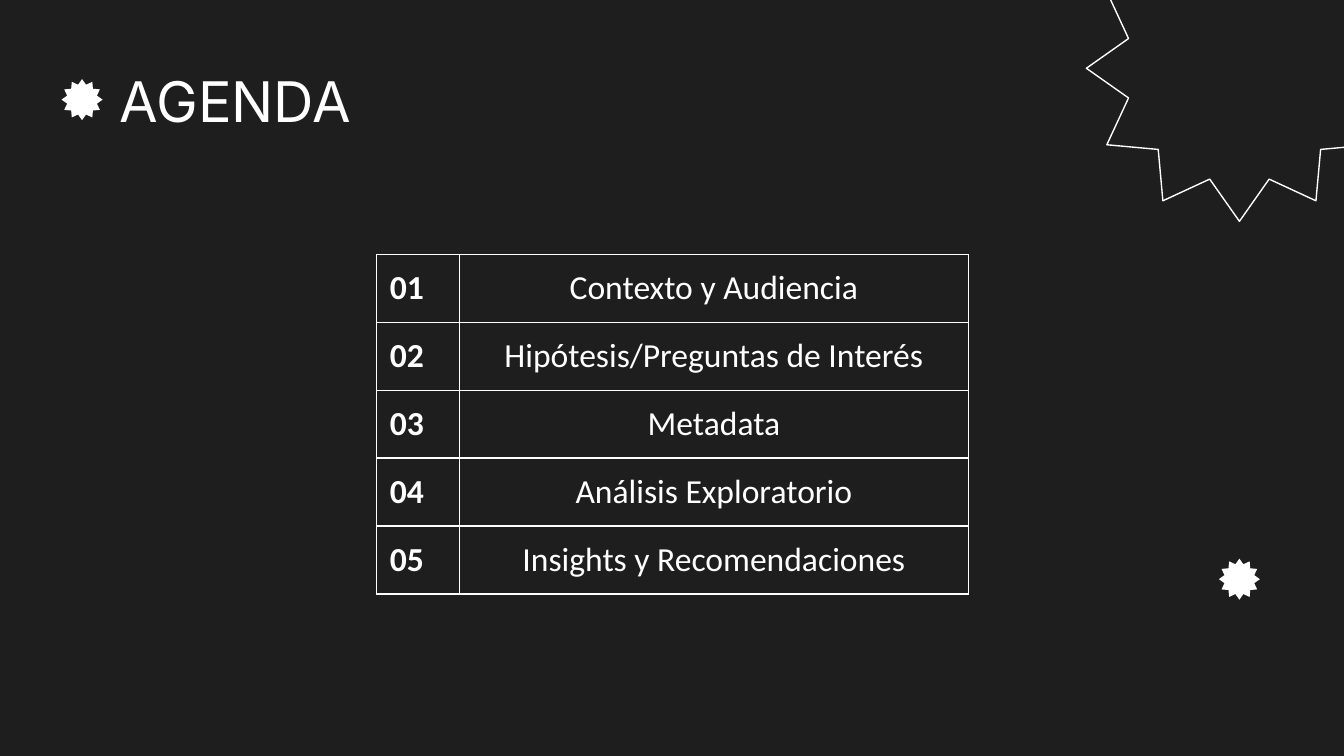
from dataclasses import dataclass

from lxml.etree import SubElement
from pptx import Presentation
from pptx.dml.color import RGBColor
from pptx.enum.shapes import MSO_SHAPE as SHAPE
from pptx.enum.text import MSO_ANCHOR as ANCHOR, PP_ALIGN as ALIGN
from pptx.oxml.ns import qn
from pptx.util import Pt


@dataclass(frozen=True)
class Theme:
    ink: str = "FFFFFF"
    paper: str = "1E1E1E"
    title_font: str = "Inter"
    body_font: str = "Calibri"
    title_size: float = 30
    body_size: float = 18
    line: float = 0.75
    inset: float = 7.2


THEME = Theme()
INK = RGBColor.from_string(THEME.ink)
TOPICS = [
    "Contexto y Audiencia",
    "Hipótesis/Preguntas de Interés",
    "Metadata",
    "Análisis Exploratorio",
    "Insights y Recomendaciones",
]


def set_insets(target):
    for side in ("left", "top", "right", "bottom"):
        setattr(target, f"margin_{side}", Pt(THEME.inset))


def style_text(p, font, size, bold=False, align=ALIGN.LEFT):
    p.alignment = align
    for r in p.runs:
        r.font.name = font
        r.font.size = Pt(size)
        r.font.bold = bold
        r.font.color.rgb = INK


def add_star(slide, left, top, size, filled=True):
    sp = slide.shapes.add_shape(SHAPE.STAR_12_POINT, Pt(left), Pt(top), Pt(size), Pt(size))
    sp.shadow.inherit = False
    if filled:
        sp.fill.solid()
        sp.fill.fore_color.rgb = INK
        sp.line.fill.background()
    else:
        sp.fill.background()
        sp.line.color.rgb = INK
        sp.line.width = Pt(THEME.line)


def add_title(slide, left, top, width, height, text):
    tf = slide.shapes.add_textbox(Pt(left), Pt(top), Pt(width), Pt(height)).text_frame
    tf.word_wrap = True
    tf.vertical_anchor = ANCHOR.TOP
    set_insets(tf)
    tf.text = text
    style_text(tf.paragraphs[0], THEME.title_font, THEME.title_size)


def add_borders(cell):
    tc_pr = cell._tc.get_or_add_tcPr()
    for side in "LRTB":
        ln = SubElement(tc_pr, qn(f"a:ln{side}"), w=str(Pt(THEME.line)))
        fill = SubElement(ln, qn("a:solidFill"))
        SubElement(fill, qn("a:srgbClr"), val=THEME.ink)


def add_agenda(slide, left, top, width, height, topics):
    number_width = 44.6
    frame = slide.shapes.add_table(len(topics), 2, Pt(left), Pt(top), Pt(width), Pt(height))
    table = frame.table
    table.first_row = table.horz_banding = False
    table.columns[0].width = Pt(number_width)
    table.columns[1].width = Pt(width - number_width)
    for i, topic in enumerate(topics):
        table.rows[i].height = Pt(height / len(topics))
        number, label = table.rows[i].cells
        number.text = f"{i + 1:02}"
        label.text = topic
        for cell, bold, align in ((number, True, ALIGN.LEFT), (label, False, ALIGN.CENTER)):
            set_insets(cell)
            add_borders(cell)
            cell.fill.background()
            style_text(cell.text_frame.paragraphs[0], THEME.body_font, THEME.body_size, bold, align)


def build_agenda_slide(prs):
    slide = prs.slides.add_slide(prs.slide_layouts[6])
    slide.background.fill.solid()
    slide.background.fill.fore_color.rgb = RGBColor.from_string(THEME.paper)
    add_star(slide, 33, 42.4, 22)
    add_star(slide, 582, -45.4, 164, filled=False)
    add_title(slide, 57, 28.4, 607, 43.2, "AGENDA")
    add_agenda(slide, 201.6, 136.2, 317.2, 182, TOPICS)
    add_star(slide, 653, 299.3, 22)


def main():
    prs = Presentation()
    prs.slide_width = Pt(720)
    prs.slide_height = Pt(405)
    build_agenda_slide(prs)
    prs.save("out.pptx")


if __name__ == "__main__":
    main()
